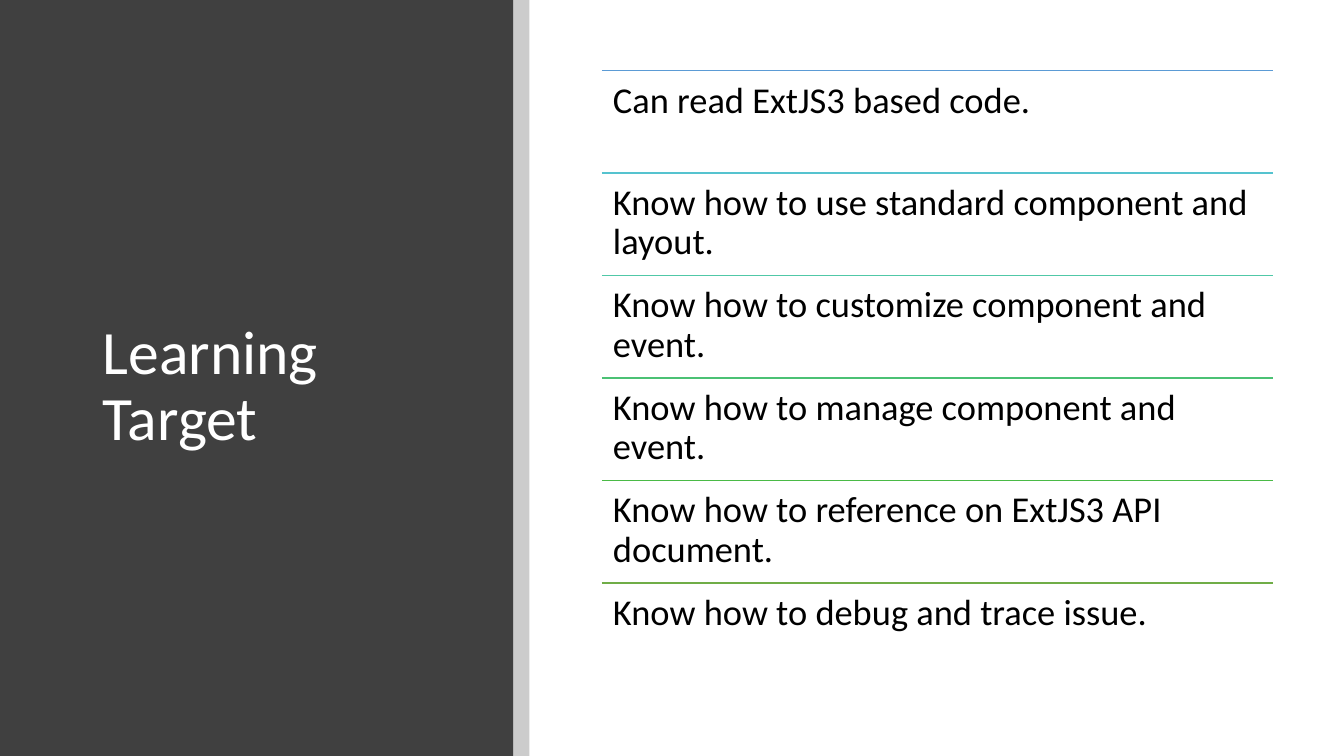
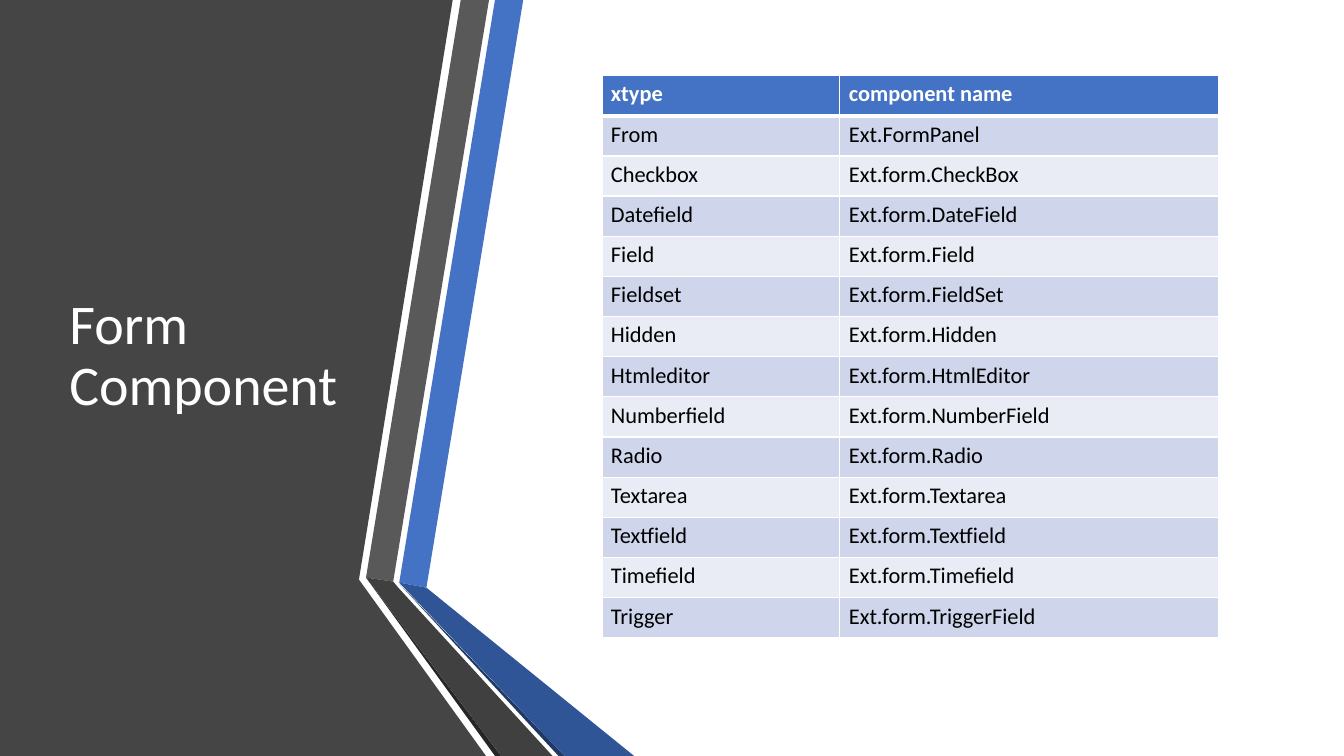
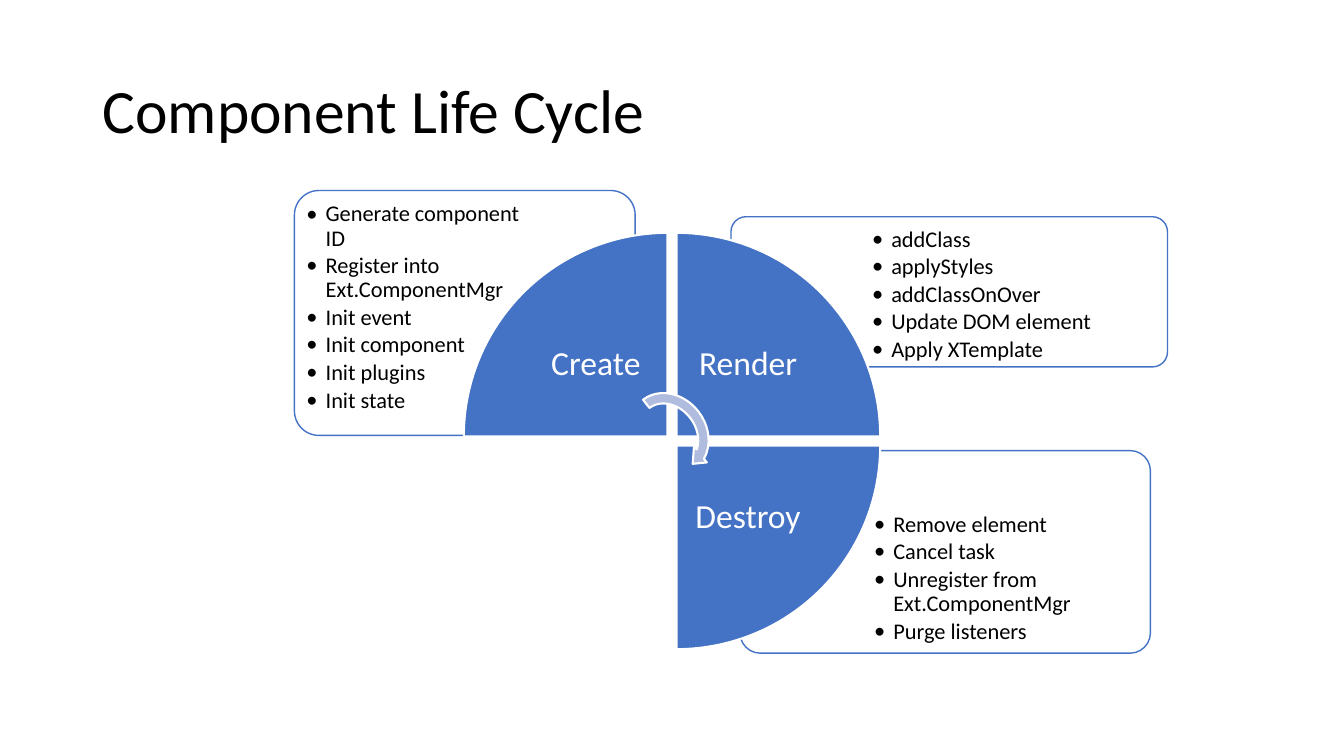
from lxml import etree
from pptx import Presentation
from pptx.dml.color import RGBColor
from pptx.enum import shapes, text
from pptx.oxml import ns
from pptx.util import Inches, Pt

FONT = "Calibri"
WHITE, BLACK, CHARCOAL, BLUE = "FFFFFF", "000000", "404040", "4472C4"
SLIDE_W, SLIDE_H = 13.33, 7.5
SHAPE = shapes.MSO_SHAPE
TOP, MIDDLE = text.MSO_ANCHOR.TOP, text.MSO_ANCHOR.MIDDLE

TARGETS = [
    ("Can read ExtJS3 based code.", "5B9BD5"),
    ("Know how to use standard component and layout.", "55C3CF"),
    ("Know how to customize component and event.", "50C8A7"),
    ("Know how to manage component and event.", "4BC174"),
    ("Know how to reference on ExtJS3 API document.", "4ABA46"),
    ("Know how to debug and trace issue.", "70AD47"),
]

COMPONENTS = [
    ("xtype", "component name"),
    ("From", "Ext.FormPanel"),
    ("Checkbox", "Ext.form.CheckBox"),
    ("Datefield", "Ext.form.DateField"),
    ("Field", "Ext.form.Field"),
    ("Fieldset", "Ext.form.FieldSet"),
    ("Hidden", "Ext.form.Hidden"),
    ("Htmleditor", "Ext.form.HtmlEditor"),
    ("Numberfield", "Ext.form.NumberField"),
    ("Radio", "Ext.form.Radio"),
    ("Textarea", "Ext.form.Textarea"),
    ("Textfield", "Ext.form.Textfield"),
    ("Timefield", "Ext.form.Timefield"),
    ("Trigger", "Ext.form.TriggerField"),
]

FACETS = [
    ("454545", [(0, 0), (4.49, 0), (3.56, 5.75), (4.82, 7.5), (0, 7.5)]),
    (BLUE, [(3.96, 5.78), (4.23, 5.83), (5.19, 0), (4.91, 0)]),
    ("595959", [(4.85, 0), (4.57, 0), (3.63, 5.73), (3.9, 5.77)]),
    ("262626", [(3.63, 5.73), (4.91, 7.5), (4.97, 7.5)]),
    ("203864", [(3.96, 5.79), (5.54, 7.5), (5.6, 7.5)]),
    ("2F5597", [(3.96, 5.78), (5.6, 7.5), (6.29, 7.5), (4.23, 5.83)]),
    (CHARCOAL, [(5.48, 7.5), (3.95, 5.83), (3.9, 5.77), (3.63, 5.73), (4.97, 7.5)]),
]

# Panel box, offset and width of its list, and the list, all in inches
DETAILS = [
    ((7.34, 4.47, 4.07, 2.01), (1.26, 0.55, 2.76),
     ["Remove element", "Cancel task", "Unregister from Ext.ComponentMgr",
      "Purge listeners"]),
    ((7.25, 2.15, 4.33, 1.49), (1.33, 0.04, 2.97),
     ["addClass", "applyStyles", "addClassOnOver", "Update DOM element",
      "Apply XTemplate"]),
    ((2.92, 1.89, 3.38, 2.43), (0.05, 0.05, 2.26),
     ["Generate component ID", "Register into Ext.ComponentMgr", "Init event",
      "Init component", "Init plugins", "Init state"]),
]

# Stage, column and row in the wheel, rotation
STAGES = [("Create", 0, 0, 0), ("Render", 1, 0, 90), ("Destroy", 1, 1, 180)]


def rgb(colour):
    return RGBColor.from_string(colour)


def inches(*lengths):
    return [Inches(length) for length in lengths]


def paint(shape, fill, line=None, width=1, opacity=100):
    shape.shadow.inherit = False
    shape.fill.solid()
    shape.fill.fore_color.rgb = rgb(fill)
    if opacity < 100:
        colour = shape._element.spPr.find(ns.qn("a:solidFill"))[0]
        etree.SubElement(colour, ns.qn("a:alpha"), val=str(opacity * 1000))
    if line:
        shape.line.color.rgb = rgb(line)
        shape.line.width = Pt(width)
    else:
        shape.line.fill.background()


def add_block(slide, preset, box, fill, **style):
    block = slide.shapes.add_shape(preset, *inches(*box))
    paint(block, fill, **style)
    return block


def format_run(run, size, colour, bold=False):
    run.font.name, run.font.size, run.font.bold = FONT, Pt(size), bold
    run.font.color.rgb = rgb(colour)


def add_text(slide, box, lines, size, colour=BLACK, anchor=TOP, inset=None,
             align=text.PP_ALIGN.LEFT, bullets=False):
    frame = slide.shapes.add_textbox(*inches(*box)).text_frame
    frame.word_wrap = True
    frame.vertical_anchor = anchor
    if inset is not None:
        frame.margin_left = frame.margin_right = Inches(inset)
        frame.margin_top = frame.margin_bottom = Inches(inset)
    frame.text = "\n".join(lines)
    for paragraph in frame.paragraphs:
        paragraph.alignment = align
        paragraph.line_spacing = 0.9
        format_run(paragraph.runs[0], size, colour)
        if bullets:
            paragraph.space_after = Pt(2.4)
            add_bullet(paragraph, Inches(0.19))


def add_bullet(paragraph, indent):
    properties = paragraph._p.get_or_add_pPr()
    properties.set("marL", str(indent))
    properties.set("indent", str(-indent))
    etree.SubElement(properties, ns.qn("a:buFont"), typeface=FONT)
    etree.SubElement(properties, ns.qn("a:buChar"), char="•")


def add_title(slide, box, title, size=44, colour=WHITE):
    add_text(slide, box, [title], size, colour, MIDDLE)


def add_rule(slide, left, top, width, colour):
    rule = slide.shapes.add_connector(
        shapes.MSO_CONNECTOR.STRAIGHT, *inches(left, top, left + width, top))
    rule.line.color.rgb = rgb(colour)
    rule.line.width = Pt(1)
    etree.SubElement(rule._element.spPr, ns.qn("a:effectLst"))


def add_ruled_list(slide, left, top, width, height, items):
    step = height / len(items)
    for index, (target, colour) in enumerate(items):
        y = top + index * step
        add_rule(slide, left, y, width, colour)
        add_text(slide, (left, y, width, step), [target], 26, inset=0.11)


def add_facets(slide, left, top):
    """Draw the folded side band with its corner at left, top."""
    for colour, points in FACETS:
        corners = [inches(left + x, top + y) for x, y in points]
        outline = slide.shapes.build_freeform(*corners[0])
        outline.add_line_segments(corners[1:], close=True)
        paint(outline.convert_to_shape(), colour)


def add_borders(cell, row):
    properties = cell._tc.get_or_add_tcPr()
    for side in "LRTB":
        width = 3 if (side, row) in {("B", 0), ("T", 1)} else 1
        border = etree.SubElement(properties, ns.qn(f"a:ln{side}"), w=str(Pt(width)))
        fill = etree.SubElement(border, ns.qn("a:solidFill"))
        etree.SubElement(fill, ns.qn("a:srgbClr"), val=WHITE)


def add_component_table(slide, left, top, widths, height):
    table = slide.shapes.add_table(
        len(COMPONENTS), len(widths), *inches(left, top, sum(widths), height)).table
    for column, width in zip(table.columns, widths):
        column.width = Inches(width)
    for row, entries in enumerate(COMPONENTS):
        header = row == 0
        band = BLUE if header else ("E9EBF5", "CFD5EA")[row % 2]
        table.rows[row].height = Inches(height / len(COMPONENTS))
        for column, entry in enumerate(entries):
            cell = table.cell(row, column)
            add_borders(cell, row)
            cell.fill.solid()
            cell.fill.fore_color.rgb = rgb(band)
            cell.margin_left = cell.margin_right = Inches(0.09)
            cell.text_frame.text = entry
            format_run(cell.text_frame.paragraphs[0].runs[0], 16,
                       WHITE if header else BLACK, header)


def add_detail(slide, box, list_place, items):
    left, top, _, height = box
    dx, dy, width = list_place
    panel = add_block(slide, SHAPE.ROUNDED_RECTANGLE, box, WHITE, line=BLUE, opacity=90)
    panel.adjustments[0] = 0.1
    add_text(slide, (left + dx, top + dy, width, height - dy), items, 16,
             inset=0.07, bullets=True)


def add_wheel(slide, left, top, wedge=2.02, step=2.11):
    label = 1.42
    for stage, column, row, rotation in STAGES:
        x, y = left + column * step, top + row * step
        quarter = add_block(slide, SHAPE.PIE_WEDGE, (x, y, wedge, wedge), BLUE,
                            line=WHITE, width=1.5)
        quarter.rotation = rotation
        label_x = x + (1 - column) * (wedge - label)
        label_y = y + (1 - row) * (wedge - label)
        add_text(slide, (label_x, label_y, label, label), [stage], 24, WHITE,
                 MIDDLE, 0.1, text.PP_ALIGN.CENTER)
    arrow = add_block(slide, SHAPE.CIRCULAR_ARROW, (left + 1.56, top + 1.58, 0.96, 0.83),
                      "B0BCDE", line=WHITE, width=1.5)
    arrow.rotation = 52.3


def build_targets(slide):
    band = 5.09
    add_block(slide, SHAPE.RECTANGLE, (0, 0, band, SLIDE_H), CHARCOAL)
    add_title(slide, (0.92, 0.89, 3.65, 5.91), "Learning Target")
    add_block(slide, SHAPE.RECTANGLE, (band, 0, 0.16, SLIDE_H), BLACK, opacity=20)
    add_ruled_list(slide, 5.97, 0.7, 6.66, 6.1, TARGETS)


def build_components(slide):
    add_facets(slide, 0, 0)
    add_title(slide, (0.59, 0.75, 3.04, 5.58), "Form Component", 40)
    add_component_table(slide, 5.97, 0.75, (2.36, 3.76), 5.58)


def build_life_cycle(slide):
    add_title(slide, (0.92, 0.4, 11.5, 1.45), "Component Life Cycle", colour=BLACK)
    for detail in DETAILS:
        add_detail(slide, *detail)
    add_wheel(slide, 4.6, 2.31)


def main():
    deck = Presentation()
    deck.slide_width, deck.slide_height = inches(SLIDE_W, SLIDE_H)
    for build in (build_targets, build_components, build_life_cycle):
        build(deck.slides.add_slide(deck.slide_layouts[6]))
    deck.save("out.pptx")


if __name__ == "__main__":
    main()
